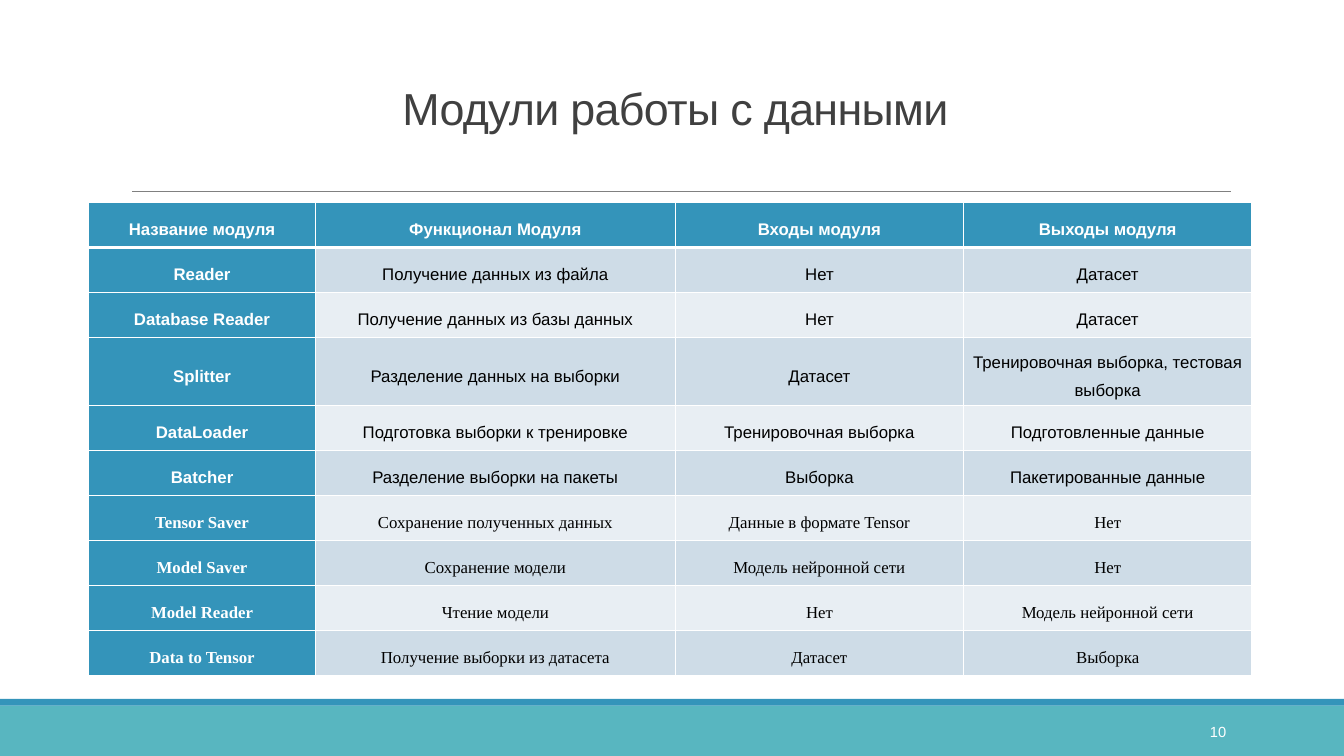
from dataclasses import dataclass

from lxml import etree
from pptx import Presentation
from pptx.dml.color import RGBColor
from pptx.enum.shapes import MSO_CONNECTOR, MSO_SHAPE
from pptx.enum.text import MSO_ANCHOR, PP_ALIGN
from pptx.oxml.ns import qn
from pptx.util import Emu, Inches, Pt

RECT = MSO_SHAPE.RECTANGLE
LINE = MSO_CONNECTOR.STRAIGHT
MIDDLE = MSO_ANCHOR.MIDDLE
CENTER, RIGHT = PP_ALIGN.CENTER, PP_ALIGN.RIGHT

# Grid: 160 columns by 90 rows of square units
COLS, ROWS = 160, 90
WIDTH, HEIGHT = Inches(13.33), Inches(7.5)


@dataclass(frozen=True)
class Theme:
    sans: str = "Arial"
    serif: str = "Times New Roman"
    blue: str = "3494BA"
    teal: str = "58B6C0"
    dark: str = "CEDCE7"
    light: str = "E8EEF3"
    gray: str = "808080"
    title: str = "404040"
    black: str = "000000"
    white: str = "FFFFFF"
    head: float = 32
    body: float = 12
    page: float = 10.5


THEME = Theme()

# Table content and its measures in grid units
WIDTHS = (27, 42.84, 34.32, 34.32)
ROW, TALL = 5.35, 8.16
TALL_ROW = 3
SERIF_FROM = 6
MODULES = (
    ("Название модуля", "Функционал Модуля", "Входы модуля", "Выходы модуля"),
    ("Reader", "Получение данных из файла", "Нет", "Датасет"),
    ("Database Reader", "Получение данных из базы данных", "Нет", "Датасет"),
    ("Splitter", "Разделение данных на выборки", "Датасет",
     "Тренировочная выборка, тестовая выборка"),
    ("DataLoader", "Подготовка выборки к тренировке", "Тренировочная выборка",
     "Подготовленные данные"),
    ("Batcher", "Разделение выборки на пакеты", "Выборка", "Пакетированные данные"),
    ("Tensor Saver", "Сохранение полученных данных", "Данные в формате Tensor", "Нет"),
    ("Model Saver", "Сохранение модели", "Модель нейронной сети", "Нет"),
    ("Model Reader", "Чтение модели", "Нет", "Модель нейронной сети"),
    ("Data to Tensor", "Получение выборки из датасета", "Датасет", "Выборка"),
)


def across(cols):
    return Emu(round(WIDTH * cols / COLS))


def down(rows):
    return Emu(round(HEIGHT * rows / ROWS))


def place(left, top, width, height):
    return across(left), down(top), across(width), down(height)


def color(code):
    return RGBColor.from_string(code)


def write(frame, text, size, ink, align, face=THEME.sans, bold=False, space=1.0):
    frame.text = text
    frame.word_wrap = True
    para = frame.paragraphs[0]
    para.alignment = align
    para.line_spacing = space
    run = para.runs[0]
    run.font.name, run.font.size, run.font.bold = face, Pt(size), bold
    run.font.color.rgb = color(ink)
    return run


def add_band(slide, area, fill):
    band = slide.shapes.add_shape(RECT, *place(*area))
    band.shadow.inherit = False
    band.fill.solid()
    band.fill.fore_color.rgb = color(fill)
    band.line.fill.background()


def add_rule(slide, left, right, top):
    rule = slide.shapes.add_connector(
        LINE, across(left), down(top), across(right), down(top))
    rule.line.color.rgb = color(THEME.gray)
    rule.line.width = Pt(0.5)
    props = rule._element.find(qn("p:spPr"))
    etree.SubElement(props, qn("a:effectLst"))


def add_label(slide, area, text, size, ink, align, space=1.0):
    frame = slide.shapes.add_textbox(*place(*area)).text_frame
    frame.vertical_anchor = MIDDLE
    return write(frame, text, size, ink, align, space=space)


def set_edge(cell, side, width):
    props = cell._tc.get_or_add_tcPr()
    edge = etree.SubElement(props, qn(f"a:ln{side}"), w=str(Pt(width)))
    fill = etree.SubElement(edge, qn("a:solidFill"))
    etree.SubElement(fill, qn("a:srgbClr"), val=THEME.white)


def fill_cell(cell, row, col, text):
    head = row == 0 or col == 0
    # Borders: a thick one parts the header from the body
    thick = {(0, "B"), (1, "T")}
    for side in "LRTB":
        set_edge(cell, side, 3 if (row, side) in thick else 1)
    cell.fill.solid()
    stripe = THEME.dark if row % 2 else THEME.light
    cell.fill.fore_color.rgb = color(THEME.blue if head else stripe)
    # Text
    cell.vertical_anchor = MIDDLE
    cell.margin_left = cell.margin_right = Inches(0.07)
    cell.margin_top = cell.margin_bottom = 0
    face = THEME.serif if row >= SERIF_FROM else THEME.sans
    ink = THEME.white if head else THEME.black
    write(cell.text_frame, text, THEME.body, ink, CENTER, face, head, 1.5)


def add_grid(slide, left, top):
    heights = [TALL if row == TALL_ROW else ROW for row in range(len(MODULES))]
    area = place(left, top, sum(WIDTHS), sum(heights))
    table = slide.shapes.add_table(len(MODULES), len(WIDTHS), *area).table
    for col, width in enumerate(WIDTHS):
        table.columns[col].width = across(width)
    for row, texts in enumerate(MODULES):
        table.rows[row].height = down(heights[row])
        for col, text in enumerate(texts):
            fill_cell(table.cell(row, col), row, col, text)


def main():
    deck = Presentation()
    deck.slide_width, deck.slide_height = WIDTH, HEIGHT
    slide = deck.slides.add_slide(deck.slide_layouts[6])

    # Footer bands and title rule
    add_band(slide, (0, 84, COLS, 6), THEME.teal)
    add_band(slide, (0, 83.2, COLS, 0.8), THEME.blue)
    add_rule(slide, 15.72, 146.5, 22.8)

    # Title
    title = add_label(slide, (14.4, 3.72, 132, 19.08), "Модули работы с данными",
                      THEME.head, THEME.title, CENTER, 0.85)
    title.font._element.set("spc", "-50")

    # Module table and page number
    add_grid(slide, 10.56, 24.12)
    add_label(slide, (130, 84.72, 17.16, 4.8), "10", THEME.page, THEME.white, RIGHT)

    deck.save("out.pptx")


if __name__ == "__main__":
    main()
